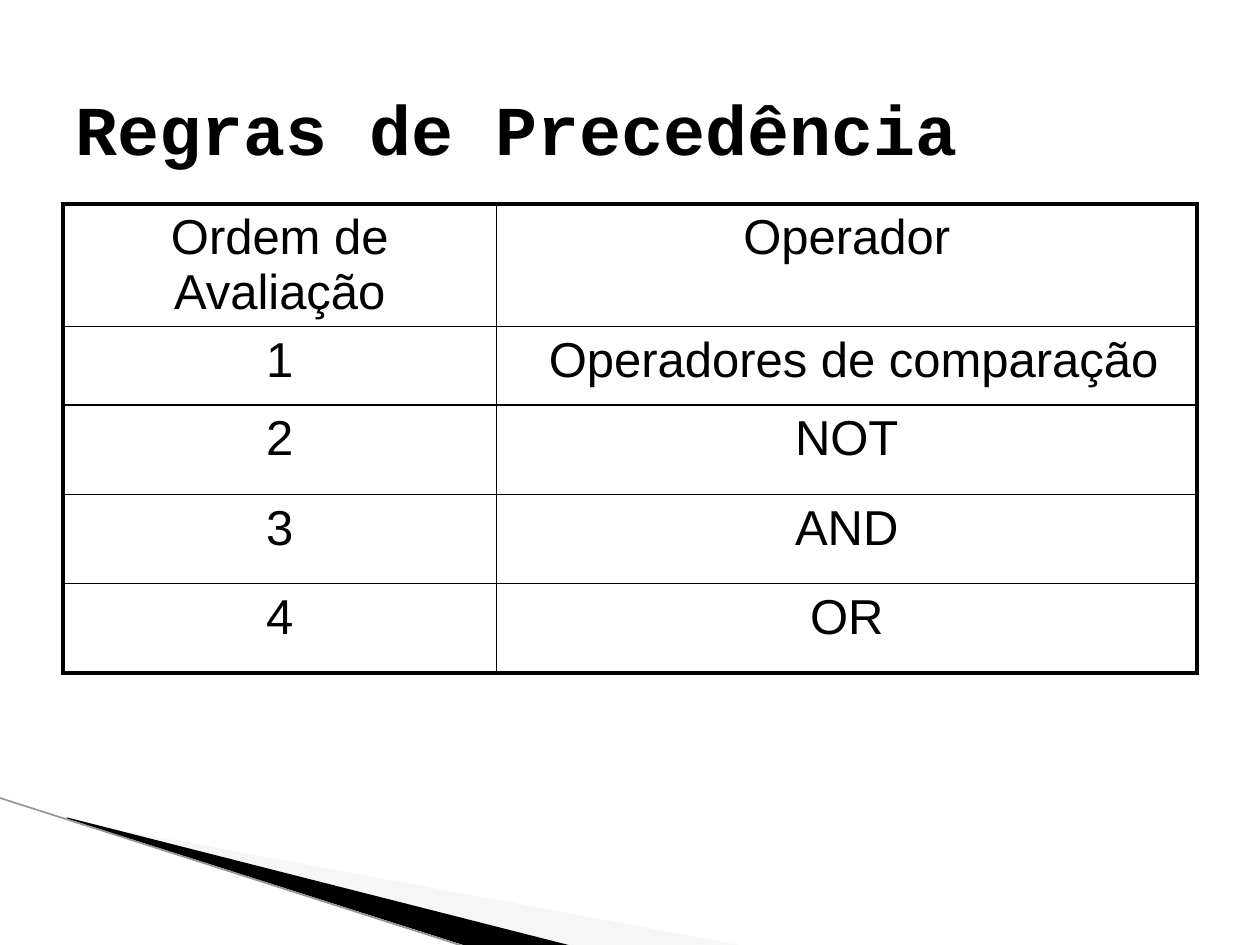
"""Build the slide on operator precedence rules."""
from dataclasses import dataclass

from lxml import etree
from pptx import Presentation
from pptx.dml.color import RGBColor
from pptx.enum import shapes, text
from pptx.oxml import ns
from pptx.util import Pt

BLACK = "000000"
ROWS = [
    ("Ordem de Avaliação", "Operador"),
    ("1", "Operadores de comparação"),
    ("2", "NOT"),
    ("3", "AND"),
    ("4", "OR"),
]
COL_WIDTHS = [247.7, 400.3]
ROW_HEIGHTS = [70, 45, 51, 51, 51]


@dataclass
class Wedge:
    points: list[tuple[float, float]]
    color: str
    alpha: int = 100


WEDGES = [
    Wedge([(39.6, 468.7), (428.4, 540.7), (328.3, 540.7), (39.6, 468)], "EAEAEA", 40),
    Wedge([(38.2, 467.3), (329, 540.7), (267.8, 541.4), (38.9, 468)], BLACK),
]


def rgb(color: str) -> RGBColor:
    return RGBColor.from_string(color)


def draw_wedge(s, wedge: Wedge) -> None:
    builder = s.shapes.build_freeform(*wedge.points[0], scale=Pt(1))
    builder.add_line_segments(wedge.points[1:])
    sp = builder.convert_to_shape()
    sp.shadow.inherit = False
    sp.line.fill.background()
    sp.fill.solid()
    sp.fill.fore_color.rgb = rgb(wedge.color)
    if wedge.alpha < 100:
        clr = sp._element.spPr.find(".//" + ns.qn("a:srgbClr"))
        etree.SubElement(clr, ns.qn("a:alpha"), val=str(wedge.alpha * 1000))


def draw_edge(s) -> None:
    line = s.shapes.add_connector(
        shapes.MSO_CONNECTOR.STRAIGHT, Pt(-0.7), Pt(455.8), Pt(267.1), Pt(541.4))
    line.line.color.rgb = rgb("969696")
    line.line.width = Pt(0.95)
    etree.SubElement(line._element.spPr, ns.qn("a:effectLst"))


def set_borders(cell, widths: dict[str, float]) -> None:
    tc_pr = cell._tc.get_or_add_tcPr()
    for i, (side, width) in enumerate(widths.items()):
        ln = etree.Element(ns.qn("a:ln" + side), w=str(Pt(width)))
        fill = etree.SubElement(ln, ns.qn("a:solidFill"))
        etree.SubElement(fill, ns.qn("a:srgbClr"), val=BLACK)
        tc_pr.insert(i, ln)


def fill_cell(cell, label: str) -> None:
    cell.fill.background()
    cell.margin_left = cell.margin_right = Pt(7.2)
    cell.margin_top = cell.margin_bottom = Pt(3.6)
    p = cell.text_frame.paragraphs[0]
    p.text = label
    p.alignment = text.PP_ALIGN.CENTER
    p.font.size = Pt(28)
    p.font.name = "Arial"
    p.font.color.rgb = rgb(BLACK)


def draw_table(s) -> None:
    last_row, last_col = len(ROWS) - 1, len(COL_WIDTHS) - 1
    table = s.shapes.add_table(
        len(ROWS), len(COL_WIDTHS), Pt(36), Pt(116.6),
        Pt(sum(COL_WIDTHS)), Pt(sum(ROW_HEIGHTS))).table
    table.first_row = table.horz_banding = False
    for column, width in zip(table.columns, COL_WIDTHS):
        column.width = Pt(width)
    for r, (row, height) in enumerate(zip(table.rows, ROW_HEIGHTS)):
        row.height = Pt(height)
        for c, cell in enumerate(row.cells):
            label = ROWS[r][c]
            fill_cell(cell, " " + label if (r, c) == (1, 1) else label)
            outer = {"L": c == 0, "R": c == last_col, "T": r == 0, "B": r == last_row}
            set_borders(cell, {side: 2.25 if out else 1 for side, out in outer.items()})


def set_title(s, title: str) -> None:
    sp = s.shapes.title
    sp.left, sp.top, sp.width, sp.height = Pt(36), Pt(21.6), Pt(648), Pt(90)
    tf = sp.text_frame
    tf.vertical_anchor = text.MSO_ANCHOR.MIDDLE
    tf.margin_top = Pt(16)
    p = tf.paragraphs[0]
    p.text = title
    p.alignment = text.PP_ALIGN.LEFT
    p.font.size = Pt(40)
    p.font.bold = True
    p.font.name = "Courier New"
    p.font.color.rgb = rgb(BLACK)


def main() -> None:
    prs = Presentation()
    prs.slide_width, prs.slide_height = Pt(720), Pt(540)
    s = prs.slides.add_slide(prs.slide_layouts[5])
    for wedge in WEDGES:
        draw_wedge(s, wedge)
    draw_edge(s)
    draw_table(s)
    set_title(s, "Regras de Precedência")
    prs.save("out.pptx")


if __name__ == "__main__":
    main()
